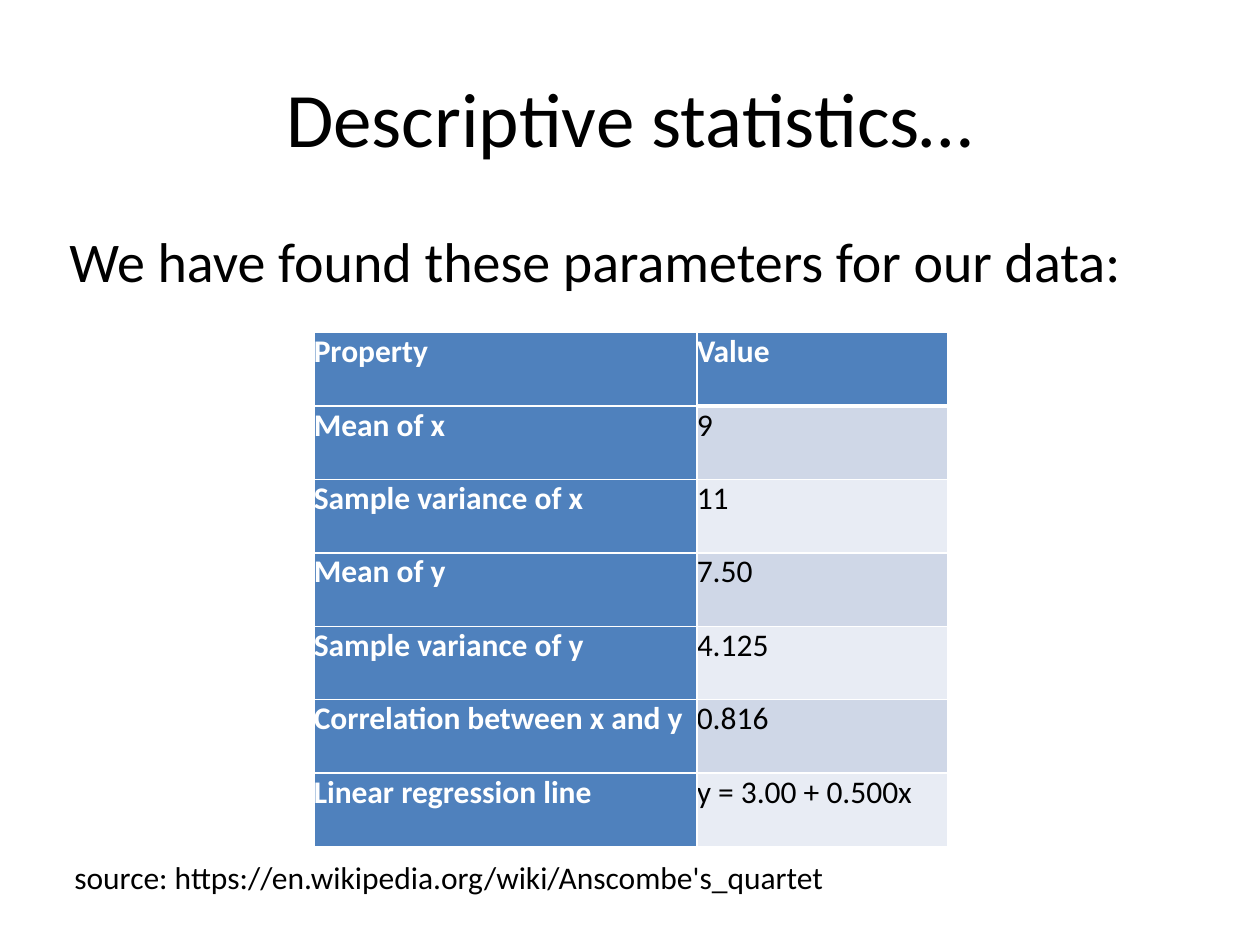
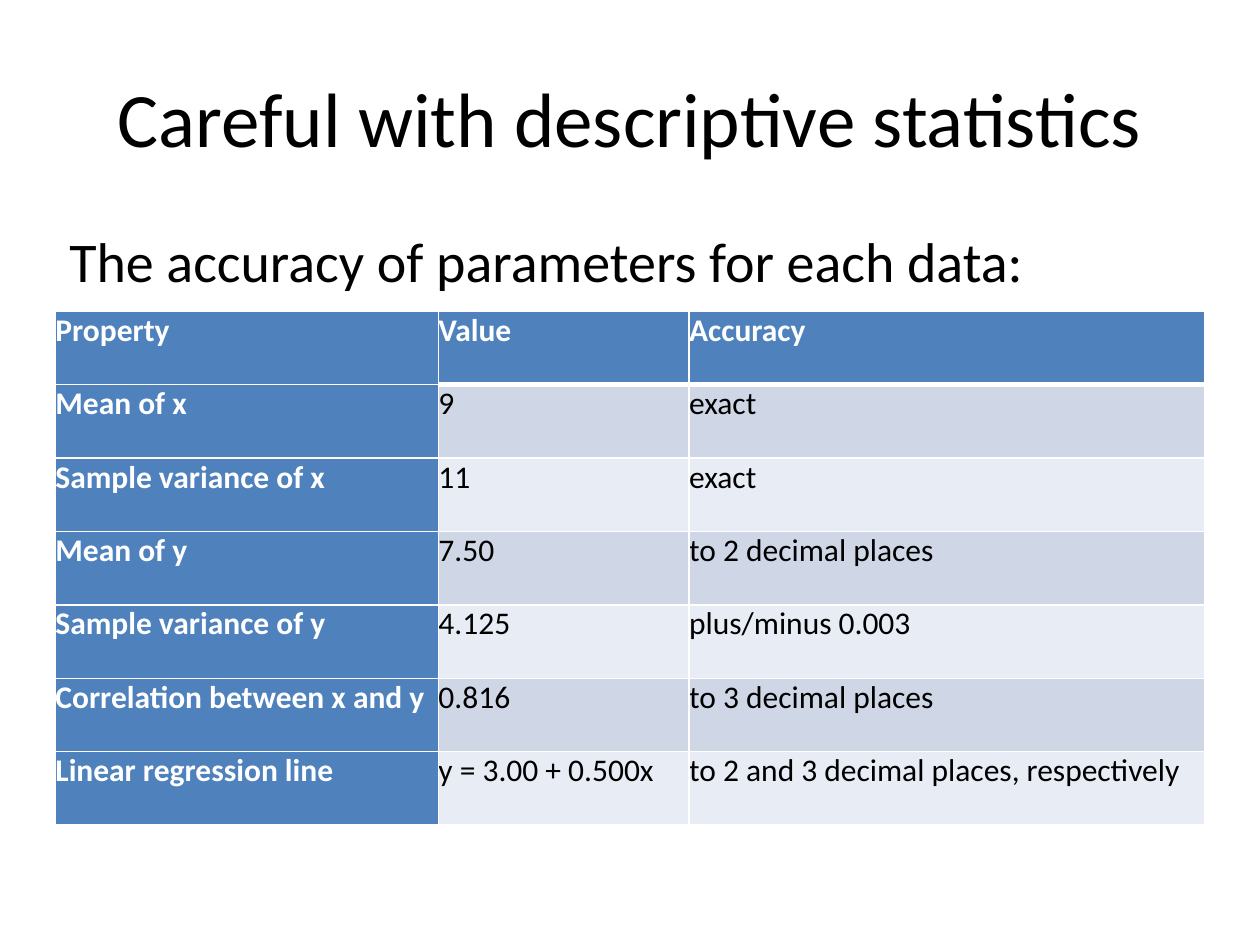
"""Builds two slides that tabulate descriptive statistics and their accuracy."""
from lxml import etree
from pptx import Presentation, util as u
from pptx.dml.color import RGBColor
from pptx.enum import text
from pptx.oxml import ns

FONT = "Calibri"
BLACK, WHITE, BLUE = "000000", "FFFFFF", "4F81BD"
BANDS = ["CFD7E7", "E8ECF4"]
COLUMN_WIDTHS = [3.04, 1.99, 4.09]
TABLE_HEIGHT = 4.08


def add_run(paragraph, words, size, color=BLACK, bold=False):
    run = paragraph.add_run()
    run.text = words
    run.font.name = FONT
    run.font.size = u.Pt(size)
    run.font.bold = bold
    run.font.color.rgb = RGBColor.from_string(color)


def add_text(slide, position, words, size, align=text.PP_ALIGN.LEFT,
             anchor=text.MSO_ANCHOR.TOP, wrap=True):
    box = slide.shapes.add_textbox(*[u.Inches(length) for length in position])
    frame = box.text_frame
    frame.word_wrap = wrap
    frame.vertical_anchor = anchor
    frame.margin_left = frame.margin_right = u.Inches(0.05)
    frame.margin_top = frame.margin_bottom = u.Inches(0.05)
    paragraph = frame.paragraphs[0]
    paragraph.alignment = align
    add_run(paragraph, words, size)


statistics = [
    ["Property", "Value", "Accuracy"],
    ["Mean of x", "9", "exact"],
    ["Sample variance of x", "11", "exact"],
    ["Mean of y", "7.50", "to 2 decimal places"],
    ["Sample variance of y", "4.125", "plus/minus 0.003"],
    ["Correlation between x and y", "0.816", "to 3 decimal places"],
    ["Linear regression line", "y = 3.00 + 0.500x", "to 2 and 3 decimal places, respectively"],
]
slide_contents = [
    ("Descriptive statistics…", "We have found these parameters for our data:", 2.49, 2.64, 2),
    ("Careful with descriptive statistics", "The accuracy of parameters for each data:", 0.44, 2.47, 3),
]

presentation = Presentation()
presentation.slide_width = u.Inches(10)
presentation.slide_height = u.Inches(7.5)

for title, lead, left, top, column_count in slide_contents:
    slide = presentation.slides.add_slide(presentation.slide_layouts[6])
    add_text(slide, (0.5, 0.3, 9, 1.25), title, 44, text.PP_ALIGN.CENTER, text.MSO_ANCHOR.MIDDLE)
    add_text(slide, (0.5, 1.75, 9, 0.7), lead, 32)

    widths = COLUMN_WIDTHS[:column_count]
    table = slide.shapes.add_table(
        len(statistics), column_count, u.Inches(left), u.Inches(top),
        u.Inches(sum(widths)), u.Inches(TABLE_HEIGHT)).table
    for column, width in zip(table.columns, widths):
        column.width = u.Inches(width)

    for row_index, row in enumerate(statistics):
        for column_index, words in enumerate(row[:column_count]):
            cell = table.cell(row_index, column_index)
            cell.margin_left = cell.margin_right = cell.margin_top = cell.margin_bottom = 0
            is_heading = row_index == 0 or column_index == 0
            add_run(cell.text_frame.paragraphs[0], words, 18,
                    WHITE if is_heading else BLACK, is_heading)

            properties = cell._tc.get_or_add_tcPr()
            for side in ("lnL", "lnR", "lnT", "lnB"):
                under_header = (row_index, side) in [(0, "lnB"), (1, "lnT")]
                weight = 3 if under_header and column_index > 0 else 1
                line = etree.SubElement(properties, ns.qn(f"a:{side}"), w=str(u.Pt(weight)))
                fill = etree.SubElement(line, ns.qn("a:solidFill"))
                etree.SubElement(fill, ns.qn("a:srgbClr"), val=WHITE)
            cell.fill.solid()
            cell.fill.fore_color.rgb = RGBColor.from_string(
                BLUE if is_heading else BANDS[(row_index - 1) % 2])

add_text(presentation.slides[0], (0.54, 6.76, 6.07, 0.41),
         "source: https://en.wikipedia.org/wiki/Anscombe's_quartet", 18, wrap=False)

presentation.save("out.pptx")
